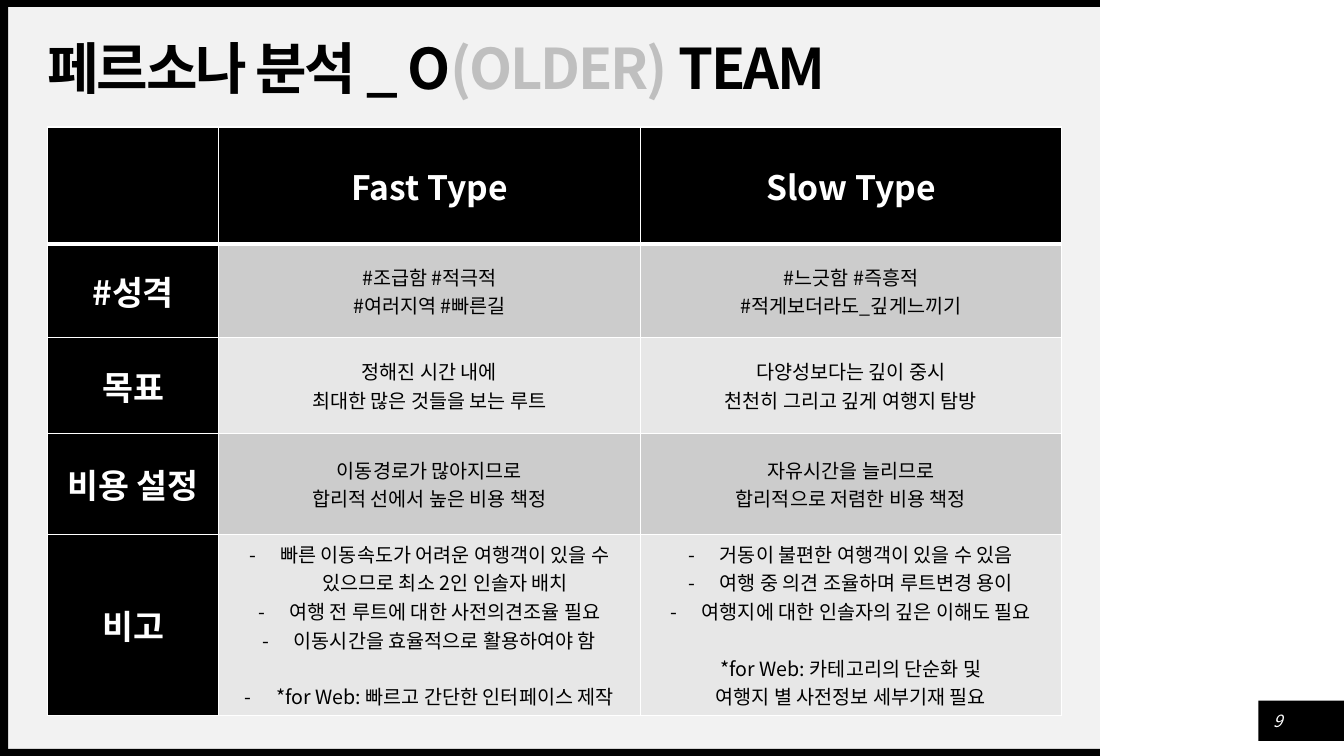
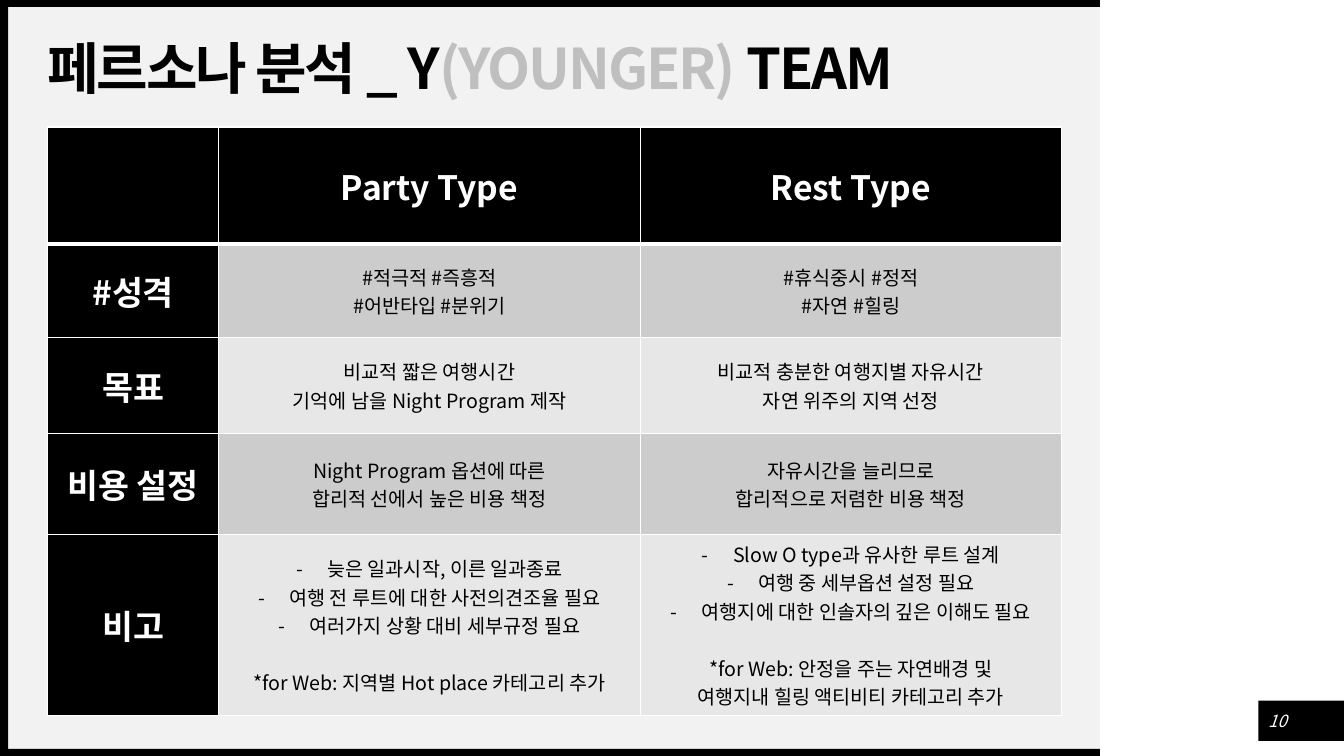
from dataclasses import dataclass
from typing import NamedTuple

from lxml import etree
from pptx import Presentation
from pptx import util as u
from pptx.dml.color import RGBColor
from pptx.enum import shapes, text
from pptx.oxml import ns

EMU_PER_PX = 9144
FONT = "Noto Sans CJK KR"
COLOURS = {
    "black": "000000",
    "white": "FFFFFF",
    "panel": "F2F2F2",
    "muted": "BFBFBF",
    "dark_band": "CCCCCC",
    "light_band": "E7E7E7",
}
COLUMN_WIDTHS = (170, 418, 418)
ROW_HEIGHTS = (116, 93, 95, 100, 180)
ROW_LABELS = ("#성격", "목표", "비용 설정", "비고")
BULLET_INDENT = 31
BLANK_LINE = 20


class Box(NamedTuple):
    left: int
    top: int
    width: int
    height: int
    colour: str = "black"


class Line(NamedTuple):
    text: str
    bullet: bool = False
    gap: int = 0


@dataclass
class Persona:
    name: str
    traits: list[str]
    goal: list[str]
    cost: list[str]
    notes: list[Line]


@dataclass
class Team:
    page: int
    initial: str
    group: str
    personas: tuple[Persona, Persona]


FRAME = (
    Box(8, 7, 1083, 736, "panel"),
    Box(1248, 695, 85, 40),
    Box(0, 743, 1091, 7),
    Box(0, 0, 1091, 7),
    Box(0, 3, 8, 747),
)
TITLE = Box(47, 47, 1006, 47)
PAGE_NUMBER = Box(1252, 700, 30, 30)
TABLE = Box(47, 126, sum(COLUMN_WIDTHS), sum(ROW_HEIGHTS))

TEAMS = (
    Team(9, "O", "OLDER", (
        Persona(
            "Fast Type",
            ["#조급함 #적극적", "#여러지역 #빠른길"],
            ["정해진 시간 내에", "최대한 많은 것들을 보는 루트"],
            ["이동경로가 많아지므로", "합리적 선에서 높은 비용 책정"],
            [
                Line("빠른 이동속도가 어려운 여행객이 있을 수 있으므로 최소 2인 인솔자 배치", True),
                Line("여행 전 루트에 대한 사전의견조율 필요", True),
                Line("이동시간을 효율적으로 활용하여야 함", True),
                Line("*for Web: 빠르고 간단한 인터페이스 제작", True, BLANK_LINE),
            ],
        ),
        Persona(
            "Slow Type",
            ["#느긋함 #즉흥적", "#적게보더라도_깊게느끼기"],
            ["다양성보다는 깊이 중시", "천천히 그리고 깊게 여행지 탐방"],
            ["자유시간을 늘리므로", "합리적으로 저렴한 비용 책정"],
            [
                Line("거동이 불편한 여행객이 있을 수 있음", True),
                Line("여행 중 의견 조율하며 루트변경 용이", True),
                Line("여행지에 대한 인솔자의 깊은 이해도 필요", True),
                Line("*for Web: 카테고리의 단순화 및", gap=BLANK_LINE),
                Line("여행지 별 사전정보 세부기재 필요"),
            ],
        ),
    )),
    Team(10, "Y", "YOUNGER", (
        Persona(
            "Party Type",
            ["#적극적 #즉흥적", "#어반타입 #분위기"],
            ["비교적 짧은 여행시간", "기억에 남을 Night Program 제작"],
            ["Night Program 옵션에 따른", "합리적 선에서 높은 비용 책정"],
            [
                Line("늦은 일과시작, 이른 일과종료", True),
                Line("여행 전 루트에 대한 사전의견조율 필요", True),
                Line("여러가지 상황 대비 세부규정 필요", True),
                Line("*for Web: 지역별 Hot place 카테고리 추가", gap=BLANK_LINE),
            ],
        ),
        Persona(
            "Rest Type",
            ["#휴식중시 #정적", "#자연 #힐링"],
            ["비교적 충분한 여행지별 자유시간", "자연 위주의 지역 선정"],
            ["자유시간을 늘리므로", "합리적으로 저렴한 비용 책정"],
            [
                Line("Slow O type과 유사한 루트 설계", True),
                Line("여행 중 세부옵션 설정 필요", True),
                Line("여행지에 대한 인솔자의 깊은 이해도 필요", True),
                Line("*for Web: 안정을 주는 자연배경 및", gap=BLANK_LINE),
                Line("여행지내 힐링 액티비티 카테고리 추가"),
            ],
        ),
    )),
)


def px(length: int) -> u.Emu:
    return u.Emu(length * EMU_PER_PX)


def place(box: Box) -> tuple[u.Emu, ...]:
    return tuple(px(length) for length in box[:4])


def rgb(colour: str) -> RGBColor:
    return RGBColor.from_string(COLOURS[colour])


def write(paragraph, content: str, *, size: int, colour: str = "black",
          bold: bool = False, italic: bool = False, spacing: float = 0) -> None:
    run = paragraph.add_run()
    run.text = content
    font = run.font
    font.name, font.size, font.bold, font.italic = FONT, u.Pt(size), bold, italic
    font.color.rgb = rgb(colour)
    properties = run._r.get_or_add_rPr()
    etree.SubElement(properties, ns.qn("a:ea")).set("typeface", FONT)
    if spacing:
        properties.set("spc", str(round(spacing * 100)))


def add_bullet(paragraph) -> None:
    properties = paragraph._p.get_or_add_pPr()
    properties.set("marL", str(px(BULLET_INDENT)))
    properties.set("indent", str(-px(BULLET_INDENT)))
    etree.SubElement(properties, ns.qn("a:buFont")).set("typeface", FONT)
    etree.SubElement(properties, ns.qn("a:buChar")).set("char", "-")


def add_rectangle(slide, box: Box) -> None:
    shape = slide.shapes.add_shape(shapes.MSO_SHAPE.RECTANGLE, *place(box))
    shape.shadow.inherit = False
    shape.fill.solid()
    shape.fill.fore_color.rgb = rgb(box.colour)
    shape.line.fill.background()


def add_text_box(slide, box: Box):
    frame = slide.shapes.add_textbox(*place(box)).text_frame
    frame.word_wrap = True
    frame.vertical_anchor = text.MSO_ANCHOR.MIDDLE
    frame.margin_left = frame.margin_right = frame.margin_top = frame.margin_bottom = 0
    return frame.paragraphs[0]


def add_title(slide, team: Team) -> None:
    paragraph = add_text_box(slide, TITLE)
    paragraph.line_spacing = 0.9
    for content, colour in (
        (f"페르소나 분석 _ {team.initial}", "black"),
        (f"({team.group}) ", "muted"),
        ("TEAM", "black"),
    ):
        write(paragraph, content, size=40, colour=colour, bold=True, spacing=-1.5)


def add_page_number(slide, page: int) -> None:
    paragraph = add_text_box(slide, PAGE_NUMBER)
    paragraph.alignment = text.PP_ALIGN.CENTER
    write(paragraph, str(page), size=12, colour="white", italic=True)


def style_cell(cell, fill: str, top: int, bottom: int) -> None:
    cell.vertical_anchor = text.MSO_ANCHOR.MIDDLE
    cell.fill.solid()
    cell.fill.fore_color.rgb = rgb(fill)
    properties = cell._tc.get_or_add_tcPr()
    widths = {"lnL": 1, "lnR": 1, "lnT": top, "lnB": bottom}
    for position, (side, width) in enumerate(widths.items()):
        border = etree.Element(ns.qn(f"a:{side}"), w=str(u.Pt(width)))
        solid = etree.SubElement(border, ns.qn("a:solidFill"))
        etree.SubElement(solid, ns.qn("a:srgbClr")).set("val", COLOURS["white"])
        properties.insert(position, border)


def fill_cell(cell, lines: list[Line], heading: bool) -> None:
    for index, line in enumerate(lines):
        frame = cell.text_frame
        paragraph = frame.add_paragraph() if index else frame.paragraphs[0]
        paragraph.alignment = text.PP_ALIGN.CENTER
        if line.gap:
            paragraph.space_before = u.Pt(line.gap)
        if line.bullet:
            add_bullet(paragraph)
        write(paragraph, line.text, size=24 if heading else 14,
              colour="white" if heading else "black", bold=heading)


def table_rows(team: Team) -> list[list[list[Line]]]:
    columns = [[[], *([Line(label)] for label in ROW_LABELS)]]
    for persona in team.personas:
        plain = ([persona.name], persona.traits, persona.goal, persona.cost)
        columns.append([[Line(item) for item in items] for items in plain] + [persona.notes])
    return [list(row) for row in zip(*columns)]


def add_persona_table(slide, team: Team) -> None:
    table = slide.shapes.add_table(
        len(ROW_HEIGHTS), len(COLUMN_WIDTHS), *place(TABLE)).table
    table.first_row = table.horz_banding = False
    for column, width in zip(table.columns, COLUMN_WIDTHS):
        column.width = px(width)
    for row, height in zip(table.rows, ROW_HEIGHTS):
        row.height = px(height)
    for row_index, row in enumerate(table_rows(team)):
        band = "dark_band" if row_index % 2 else "light_band"
        for column_index, lines in enumerate(row):
            heading = row_index == 0 or column_index == 0
            cell = table.cell(row_index, column_index)
            style_cell(cell, "black" if heading else band,
                       top=3 if row_index == 1 else 1,
                       bottom=3 if row_index == 0 else 1)
            fill_cell(cell, lines, heading)


def add_team_slide(presentation, team: Team) -> None:
    slide = presentation.slides.add_slide(presentation.slide_layouts[6])
    for box in FRAME:
        add_rectangle(slide, box)
    add_title(slide, team)
    add_page_number(slide, team.page)
    add_persona_table(slide, team)


def main() -> None:
    presentation = Presentation()
    presentation.slide_width, presentation.slide_height = px(1333), px(750)
    for team in TEAMS:
        add_team_slide(presentation, team)
    presentation.save("out.pptx")


if __name__ == "__main__":
    main()
